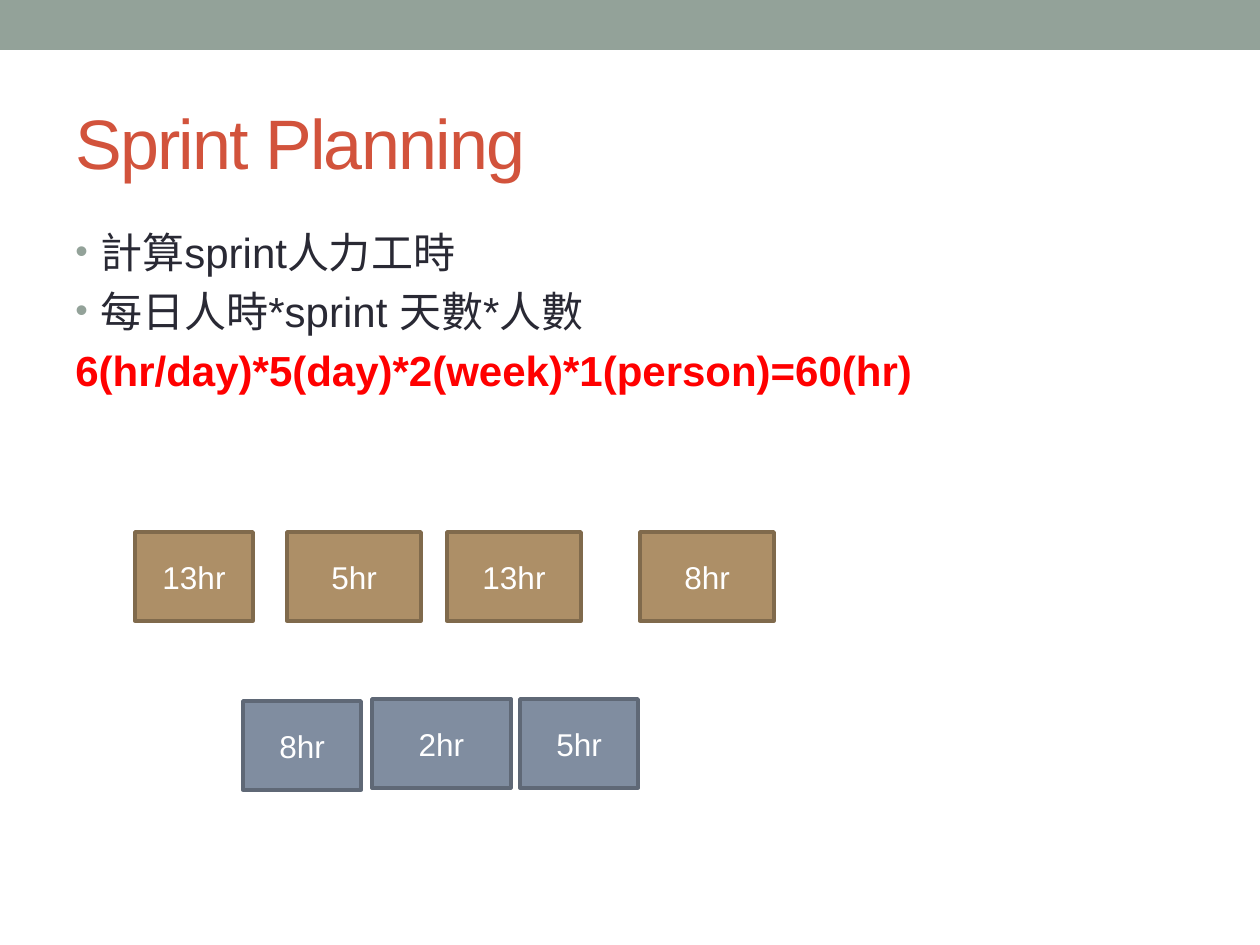
from pptx import Presentation
from pptx.dml.color import RGBColor
from pptx.enum.shapes import MSO_SHAPE as Shape
from pptx.enum.text import MSO_ANCHOR as Anchor, PP_ALIGN as Align
from pptx.oxml.ns import qn
from pptx.util import Pt
from lxml.etree import SubElement

EMU_PER_PX = 914400 / 126
COLORS = {
    "band": "93A299", "title": "D2533C", "body": "292934", "formula": "FF0000",
    "brown": "AD8F67", "brown_line": "806A4C",
    "blue": "808DA0", "blue_line": "5F6876", "white": "FFFFFF",
}


def px(length):
    return round(length * EMU_PER_PX)


def rgb(name):
    return RGBColor.from_string(COLORS[name])


class SlideBuilder:
    font_name = "Arial"

    def __init__(self, slide):
        self.slide = slide

    def style(self, paragraph, size, color, bold=False):
        font = paragraph.font
        font.name, font.size, font.bold = self.font_name, Pt(size), bold
        font.color.rgb = rgb(color)

    def rectangle(self, left, top, width, height, fill, line=None):
        shape = self.slide.shapes.add_shape(
            Shape.RECTANGLE, px(left), px(top), px(width), px(height))
        shape.shadow.inherit = False
        shape.fill.solid()
        shape.fill.fore_color.rgb = rgb(fill)
        if line:
            shape.line.color.rgb = rgb(line)
            shape.line.width = Pt(2.08)
        else:
            shape.line.fill.background()
        return shape

    def task(self, left, top, width, label, color):
        shape = self.rectangle(left, top, width, 89, color, f"{color}_line")
        shape.text_frame.vertical_anchor = Anchor.MIDDLE
        paragraph = shape.text_frame.paragraphs[0]
        paragraph.text = label
        paragraph.alignment = Align.CENTER
        self.style(paragraph, 18, "white")

    def text_box(self, left, top, width, height, anchor=Anchor.TOP):
        box = self.slide.shapes.add_textbox(px(left), px(top), px(width), px(height))
        frame = box.text_frame
        frame.word_wrap = True
        frame.vertical_anchor = anchor
        return frame

    def title(self, text):
        paragraph = self.text_box(63, 73, 1134, 136, Anchor.MIDDLE).paragraphs[0]
        run = paragraph.add_run()
        run.text = text
        self.style(paragraph, 40, "title")
        run.font._element.set("spc", "-100")

    def body(self, lines):
        frame = self.text_box(63, 220, 1134, 672)
        for index, (text, color, bulleted) in enumerate(lines):
            paragraph = frame.add_paragraph() if index else frame.paragraphs[0]
            paragraph.text = text
            paragraph.space_before = Pt(5)
            self.style(paragraph, 24, color, bold=not bulleted)
            if bulleted:
                self.bullet(paragraph)

    def bullet(self, paragraph):
        properties = paragraph._p.get_or_add_pPr()
        properties.set("marL", str(px(25)))
        properties.set("indent", str(px(-25)))
        # Bullet parts go before the default run properties
        run_defaults = properties.find(qn("a:defRPr"))
        color = SubElement(properties, qn("a:buClr"))
        SubElement(color, qn("a:srgbClr"), val=COLORS["band"])
        SubElement(properties, qn("a:buSzPct"), val="85000")
        SubElement(properties, qn("a:buFont"), typeface=self.font_name)
        SubElement(properties, qn("a:buChar"), char="•")
        if run_defaults is not None:
            properties.append(run_defaults)


def main():
    presentation = Presentation()
    presentation.slide_width, presentation.slide_height = px(1260), px(945)
    builder = SlideBuilder(presentation.slides.add_slide(presentation.slide_layouts[6]))

    # Top band and heading
    builder.rectangle(0, 0, 1260, 50, "band")
    builder.title("Sprint Planning")

    # Working-hours calculation
    builder.body([
        ("計算sprint人力工時", "body", True),
        ("每日人時*sprint 天數*人數", "body", True),
        ("6(hr/day)*5(day)*2(week)*1(person)=60(hr)", "formula", False),
    ])

    # Task estimates: left, top, width, label, color
    for task in [
        (135, 532, 118, "13hr", "brown"),
        (287, 532, 134, "5hr", "brown"),
        (447, 532, 134, "13hr", "brown"),
        (640, 532, 134, "8hr", "brown"),
        (243, 701, 118, "8hr", "blue"),
        (372, 699, 139, "2hr", "blue"),
        (520, 699, 118, "5hr", "blue"),
    ]:
        builder.task(*task)

    presentation.save("out.pptx")


if __name__ == "__main__":
    main()
